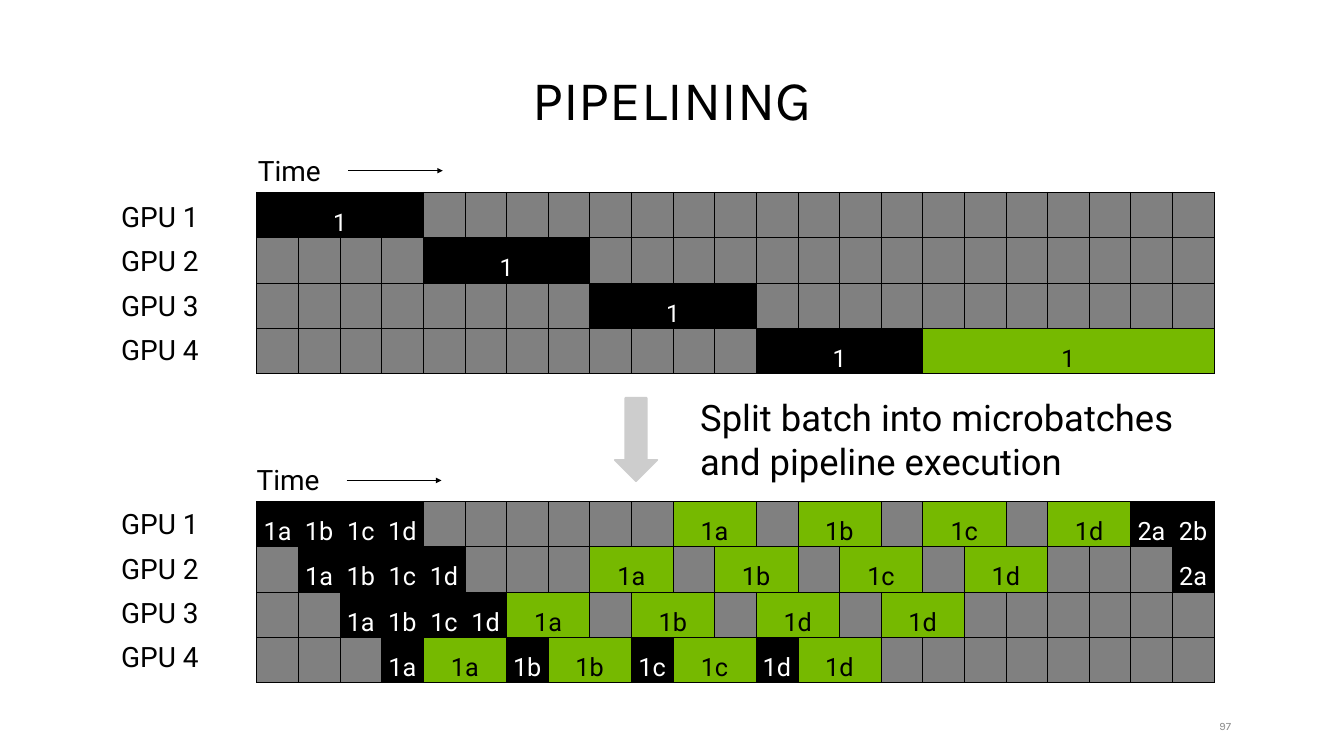
from dataclasses import dataclass
from lxml.etree import SubElement
from pptx import Presentation
from pptx.dml.color import RGBColor
from pptx.enum.shapes import MSO_CONNECTOR, MSO_SHAPE
from pptx.enum.text import MSO_ANCHOR, MSO_AUTO_SIZE, PP_ALIGN
from pptx.oxml import parse_xml
from pptx.oxml.ns import nsdecls, qn
from pptx.slide import Slide
from pptx.util import Pt

BLACK = RGBColor(0x00, 0x00, 0x00)
WHITE = RGBColor(0xFF, 0xFF, 0xFF)
GRAY = RGBColor(0x80, 0x80, 0x80)
GREEN = RGBColor(0x76, 0xB9, 0x00)
SILVER = RGBColor(0xCD, 0xCD, 0xCD)
PAGE_GRAY = RGBColor(0x8C, 0x8C, 0x8C)

EMU_PER_PX = 9144
STEPS = 23
BATCH = ["1 19.", "4. 1 15.", "8. 1 11.", "12. 1 +1"]
MICROBATCHES = [
    "1a 1b 1c 1d 6. +1a 1. +1b 1. +1c 1. +1d 2a 2b",
    "1. 1a 1b 1c 1d 3. +1a 1. +1b 1. +1c 1. +1d 3. 2a",
    "2. 1a 1b 1c 1d +1a 1. +1b 1. +1d 1. +1d 6.",
    "3. 1a +1a 1b +1b 1c +1c 1d +1d 8.",
]


def px(*values):
    return [v * EMU_PER_PX for v in values]


@dataclass
class Deck:
    """Style and current slide, with one method per kind of element."""
    s: Slide
    heading: str = "Karla"
    body: str = "Roboto"

    def style(self, p, size, color=BLACK, align=None, font=None):
        p.alignment = align
        p.font.name = font or self.body
        p.font.size = Pt(size)
        p.font.color.rgb = color

    def title(self, text, box):
        sp = self.s.shapes.title
        sp.left, sp.top, sp.width, sp.height = px(*box)
        tf = sp.text_frame
        tf.text = text
        tf.auto_size = MSO_AUTO_SIZE.NONE
        tf.vertical_anchor = MSO_ANCHOR.BOTTOM
        p = tf.paragraphs[0]
        p.line_spacing = 0.9
        self.style(p, 60, align=PP_ALIGN.CENTER, font=self.heading)

    def text(self, text, box, size, insets=(15, 7), parent=None,
             anchor=MSO_ANCHOR.TOP, **style):
        tf = (parent or self.s).shapes.add_textbox(*px(*box)).text_frame
        tf.word_wrap = True
        tf.vertical_anchor = anchor
        tf.margin_left, tf.margin_top = tf.margin_right, tf.margin_bottom = px(*insets)
        tf.text = text
        self.style(tf.paragraphs[0], size, **style)

    def arrow(self, ends, parent):
        c = parent.shapes.add_connector(MSO_CONNECTOR.STRAIGHT, *px(*ends))
        c.line.color.rgb = BLACK
        c.line.width = Pt(1.5)
        SubElement(c.line._get_or_add_ln(), qn("a:tailEnd"), type="triangle")
        SubElement(c._element.spPr, qn("a:effectLst"))

    def time_axis(self, left, top):
        g = self.s.shapes.add_group_shape()
        self.text("Time", (left, top, 138, 61), 30, insets=(10, 5), parent=g)
        self.arrow((left + 144, top + 31, left + 285, top + 31), g)

    def row_labels(self, top):
        for i in range(4):
            self.text(f"GPU {i + 1}", (121, top + 66 * i, 234, 66), 30, align=PP_ALIGN.CENTER)

    def down_arrow(self, box):
        sp = self.s.shapes.add_shape(MSO_SHAPE.DOWN_ARROW, *px(*box))
        sp.shadow.inherit = False
        sp.fill.solid()
        sp.fill.fore_color.rgb = SILVER
        sp.line.color.rgb = SILVER
        sp.line.width = Pt(2)

    def cell(self, cell, fill):
        tcPr = cell._tc.get_or_add_tcPr()
        for side in "LRTB":
            tcPr.append(parse_xml(
                f'<a:ln{side} {nsdecls("a")} w="6350"><a:solidFill>'
                f'<a:srgbClr val="{BLACK}"/></a:solidFill></a:ln{side}>'))
        cell.fill.solid()
        cell.fill.fore_color.rgb = fill

    def task(self, cell, text, size, color):
        cell.vertical_anchor = MSO_ANCHOR.BOTTOM
        cell.margin_left = cell.margin_right = cell.margin_top = EMU_PER_PX
        cell.margin_bottom = 0
        cell.text = text
        self.style(cell.text_frame.paragraphs[0], size, color, PP_ALIGN.CENTER)

    def schedule(self, rows, top, size, forward, backward):
        """Draw rows of tokens: "n." is n idle steps, "+x" a backward and "x" a forward task."""
        table = self.s.shapes.add_table(len(rows), STEPS, *px(382, top, 1425, 270)).table
        for r, row in enumerate(rows):
            col = 0
            for token in row.split():
                idle, back = token.endswith("."), token.startswith("+")
                span = int(token[:-1]) if idle else backward if back else forward
                fill = GRAY if idle else GREEN if back else BLACK
                for c in range(col, col + span):
                    self.cell(table.cell(r, c), fill)
                if not idle:
                    first = table.cell(r, col)
                    if span > 1:
                        first.merge(table.cell(r, col + span - 1))
                    self.task(first, token.lstrip("+"), size, BLACK if back else WHITE)
                col += span


def main():
    prs = Presentation()
    prs.slide_width, prs.slide_height = px(2000, 1125)
    d = Deck(prs.slides.add_slide(prs.slide_layouts[5]))
    d.title("PIPELINING", (91, 95, 1818, 108))
    d.schedule(MICROBATCHES, 746, 27, forward=1, backward=2)
    d.schedule(BATCH, 286, 26, forward=4, backward=7)
    d.down_arrow((915, 592, 63, 124))
    d.text("Split batch into microbatches and pipeline execution", (1027, 581, 746, 146), 39)
    d.time_axis(372, 684)
    d.time_axis(374, 223)
    d.row_labels(290)
    d.row_labels(747)
    d.text("97", (1777, 1071, 55, 20), 12, insets=(0, 0), anchor=MSO_ANCHOR.MIDDLE,
           color=PAGE_GRAY, align=PP_ALIGN.RIGHT, font=d.heading)
    prs.save("out.pptx")


if __name__ == "__main__":
    main()
